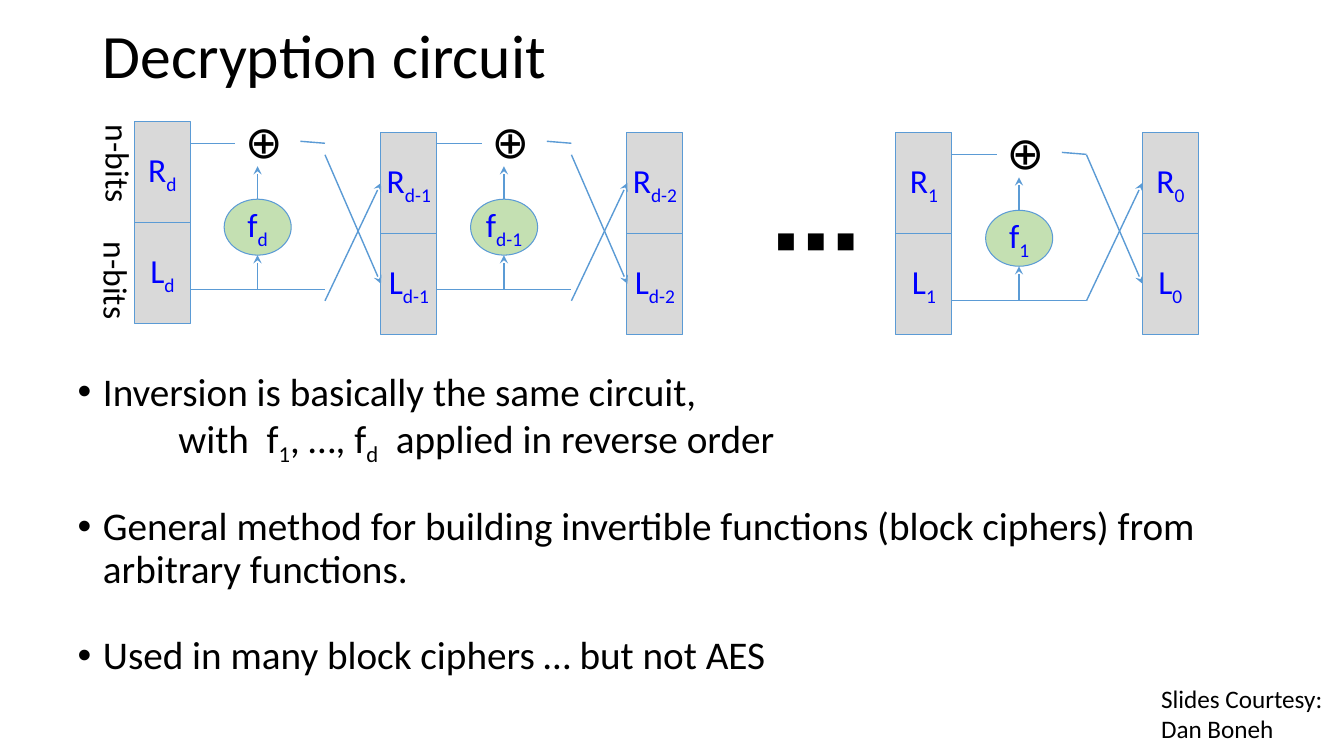
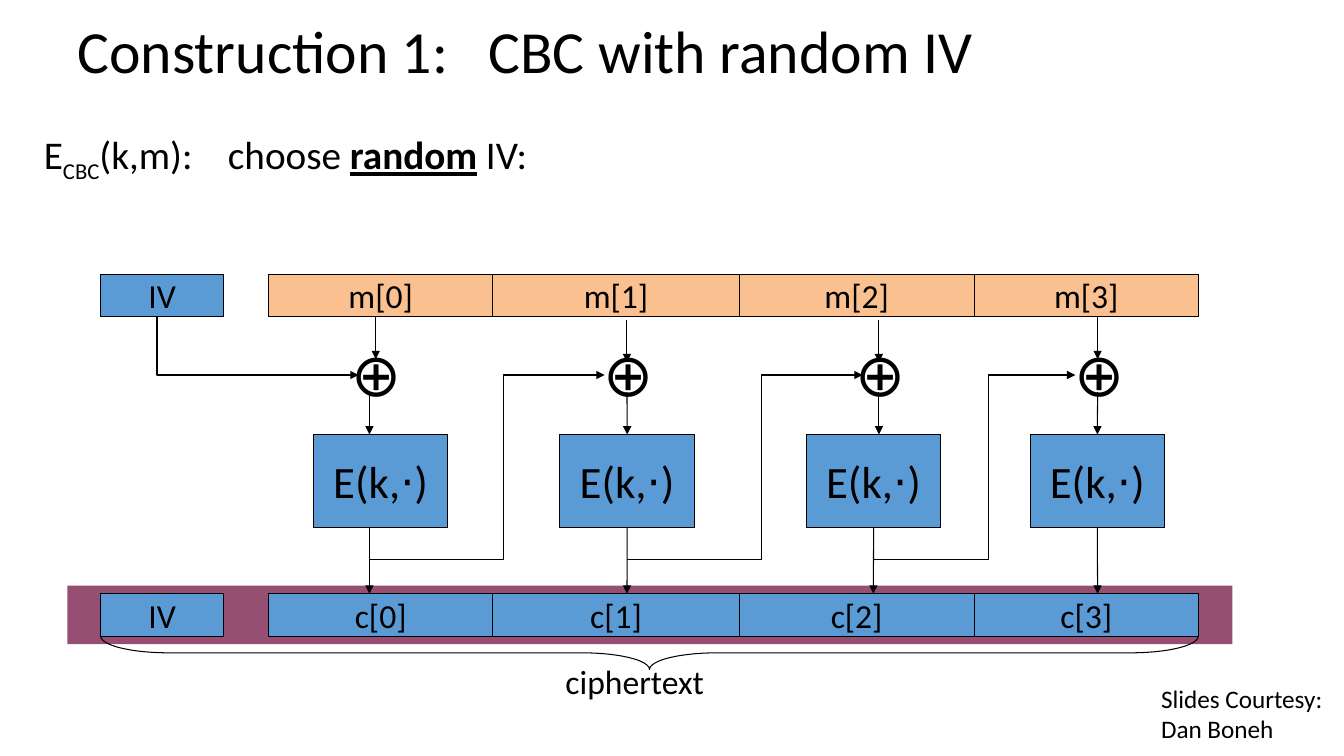
from dataclasses import dataclass
from typing import Optional

from lxml import etree
from pptx import Presentation
from pptx.dml.color import RGBColor
from pptx.enum import shapes as kinds, text as txt
from pptx.oxml import ns
from pptx.util import Cm, Pt

BLACK = RGBColor(0x00, 0x00, 0x00)
BLUE = RGBColor(0x00, 0x00, 0xFF)
SKY = RGBColor(0x5B, 0x9B, 0xD5)
GREY = RGBColor(0xD9, 0xD9, 0xD9)
GREEN = RGBColor(0xC4, 0xE0, 0xB2)
PEACH = RGBColor(0xFA, 0xC0, 0x90)
PLUM = RGBColor(0x95, 0x4F, 0x72)
FONT = "Calibri"
RECT = kinds.MSO_SHAPE.RECTANGLE
OVAL = kinds.MSO_SHAPE.OVAL

REG_W, REG_H = 1.41, 2.54
CROSS = 3.9
BOX_W, BOX_Y, BOX_H = 3.39, 10.95, 2.34
CELL_H, MSG_Y, OUT_Y = 1.07, 6.91, 14.96
FEED_Y, BUS_Y = 9.45, 14.11


@dataclass(frozen=True)
class Area:
    x: float
    y: float
    w: float
    h: float

    def cm(self) -> list:
        return [Cm(v) for v in (self.x, self.y, self.w, self.h)]


@dataclass(frozen=True)
class Reg:
    x: float
    y: float
    sub: str


@dataclass(frozen=True)
class Stage:
    x: float
    y: float
    sub: str


@dataclass(frozen=True)
class Block:
    left: float
    width: float
    sum_x: float
    box_x: float
    drop_x: float
    lag: float
    mid_x: float
    out_x: float
    turn: Optional[float] = None
    end: Optional[float] = None


REGS = [
    Reg(3.39, 3.07, "d"),
    Reg(9.6, 3.35, "d-1"),
    Reg(15.8, 3.35, "d-2"),
    Reg(22.58, 3.35, "1"),
    Reg(28.79, 3.35, "0"),
]
STAGES = [
    Stage(4.8, 3.61, "d"),
    Stage(11.01, 3.61, "d-1"),
    Stage(23.99, 3.89, "1"),
]
BLOCKS = [
    Block(6.77, 5.65, 8.61, 7.9, 9.47, 0, 9.31, 9.31, 12.7, 15.24),
    Block(12.42, 6.21, 14.96, 14.11, 15.8, 0.08, 15.8, 15.8, 19.2, 21.74),
    Block(18.63, 5.92, 21.31, 20.32, 22.15, 0.08, 22.15, 22.01, 24.92, 27.1),
    Block(24.55, 5.65, 26.82, 25.96, 27.66, 0, 27.66, 27.66),
]


def add(para, words: str, size: float, color: RGBColor = BLACK):
    run = para.add_run()
    run.text = words
    run.font.name = FONT
    run.font.size = Pt(size)
    run.font.color.rgb = color
    return run


def put(para, words: str, size: float, color: RGBColor = BLACK) -> None:
    for i, part in enumerate(words.split("~")):
        run = add(para, part, size, color)
        if i % 2:
            run.font._element.set("baseline", "-25000")


def tip(shape, kind: str) -> None:
    etree.SubElement(shape.get_or_add_ln(), ns.qn("a:tailEnd"), type=kind)


def shape(slide, kind, area: Area, fill: Optional[RGBColor],
          line: Optional[RGBColor] = None, words: str = "",
          size: float = 24, color: RGBColor = BLACK, side: float = 0.25):
    item = slide.shapes.add_shape(kind, *area.cm())
    item.shadow.inherit = False
    if fill is None:
        item.fill.background()
    else:
        item.fill.solid()
        item.fill.fore_color.rgb = fill
    if line is None:
        item.line.fill.background()
    else:
        item.line.color.rgb = line
        item.line.width = Pt(0.75)
    if words:
        frame = item.text_frame
        frame.word_wrap = True
        frame.vertical_anchor = txt.MSO_ANCHOR.MIDDLE
        frame.margin_left = frame.margin_right = Cm(side)
        para = frame.paragraphs[0]
        para.alignment = txt.PP_ALIGN.CENTER
        put(para, words, size, color)
    return item


def note(slide, area: Area, words: str, size: float,
         bold: bool = False, turn: float = 0) -> None:
    box = slide.shapes.add_textbox(*area.cm())
    box.rotation = turn
    frame = box.text_frame
    frame.word_wrap = False
    frame.text = words
    for para in frame.paragraphs:
        for run in para.runs:
            run.font.name = FONT
            run.font.size = Pt(size)
            run.font.bold = bold
            run.font.color.rgb = BLACK


def wire(slide, x1: float, y1: float, x2: float, y2: float,
         color: RGBColor, width: float, head: str = ""):
    line = slide.shapes.add_connector(
        kinds.MSO_CONNECTOR.STRAIGHT, Cm(x1), Cm(y1), Cm(x2), Cm(y2))
    line.line.color.rgb = color
    line.line.width = Pt(width)
    if head:
        tip(line, head)
    etree.SubElement(line._element.spPr, ns.qn("a:effectLst"))
    return line


def bend(slide, dots: list, width: float) -> None:
    first, *rest = [(Cm(x), Cm(y)) for x, y in dots]
    form = slide.shapes.build_freeform(*first)
    form.add_line_segments(rest, close=False)
    item = form.convert_to_shape()
    item.shadow.inherit = False
    item.fill.background()
    item.line.color.rgb = BLACK
    item.line.width = Pt(width)
    tip(item, "triangle")


def place(item, area: Area):
    item.left, item.top, item.width, item.height = area.cm()
    frame = item.text_frame
    frame.word_wrap = True
    frame.auto_size = txt.MSO_AUTO_SIZE.NONE
    return frame


def start(deck, title: str, size: float, head: Area, body: Area):
    slide = deck.slides.add_slide(deck.slide_layouts[1])
    frame = place(slide.shapes.title, head)
    frame.vertical_anchor = txt.MSO_ANCHOR.MIDDLE
    para = frame.paragraphs[0]
    para.alignment = txt.PP_ALIGN.LEFT
    para.line_spacing = 0.9
    put(para, title, size)
    note(slide, Area(29.01, 17.09, 4.6, 1.8), "Slides Courtesy:\nDan Boneh", 18)
    return slide, place(slide.placeholders[1], body)


def item(para, left: float, gap: float = 0, dot: bool = True) -> None:
    props = para._p.get_or_add_pPr()
    props.set("marL", str(Cm(left)))
    props.set("indent", str(Cm(-0.64 if dot else 0)))
    if not dot:
        etree.SubElement(props, ns.qn("a:buNone"))
    para.line_spacing = 0.9
    para.space_before = Pt(gap)


def stage(slide, part: Stage) -> None:
    x, y = part.x, part.y
    edge, low, mid = x + 3.39, y + 3.68, x + 1.69
    note(slide, Area(x + 1.13, y - 0.87, 1.65, 1.63), "⊕", 32)
    for x1, y1, x2, y2, head in [
        (x, low, edge, low, ""),
        (x, y, x + 1.13, y, ""),
        (x + 2.77, y - 0.05, edge, y, ""),
        (edge, CROSS, x + 4.8, CROSS + 3.25, "stealth"),
        (edge, CROSS + 3.68, x + 4.8, CROSS + 0.71, "stealth"),
        (mid, low, mid, y + 2.82, "stealth"),
        (mid, y + 1.41, mid, y + 0.58, "stealth"),
    ]:
        wire(slide, x1, y1, x2, y2, SKY, 1, head)
    shape(slide, OVAL, Area(x + 0.85, y + 1.41, 1.69, 1.41), GREEN, SKY,
          f"f~{part.sub}~", color=BLUE, side=0)


def circuit(deck) -> None:
    slide, body = start(deck, "Decryption circuit", 44,
                        Area(2.34, 0, 29.21, 2.97), Area(1.7, 9.25, 31.6, 8.3))
    rows = [
        ("Inversion is basically the same circuit,", 0.64, 0, True),
        ("with  f~1~, …, f~d~  applied in reverse order", 2.54, 0, False),
        ("General method for building invertible functions (block ciphers) "
         "from arbitrary functions.", 0.64, 31.7, True),
        ("Used in many block ciphers … but not AES", 0.64, 31.7, True),
    ]
    for i, (words, left, gap, dot) in enumerate(rows):
        para = body.add_paragraph() if i else body.paragraphs[0]
        item(para, left, gap, dot)
        put(para, words, 28)
    for reg in REGS:
        for i, name in enumerate("RL"):
            shape(slide, RECT, Area(reg.x, reg.y + i * REG_H, REG_W, REG_H),
                  GREY, SKY, f"{name}~{reg.sub}~", color=BLUE, side=0)
    for x, y in [(1.75, 3.51), (1.7, 6.45)]:
        note(slide, Area(x, y, 2.49, 1.27), "n-bits", 24, turn=90)
    for part in STAGES:
        stage(slide, part)
    note(slide, Area(19.2, 4.5, 2.44, 3), "⋯", 64, bold=True)


def drop(slide, x: float, y1: float, y2: float):
    return wire(slide, x, y1, x, y2, BLACK, 0.75, "triangle")


def chain(slide, i: int, part: Block) -> None:
    for name, y, fill in [("m", MSG_Y, PEACH), ("c", OUT_Y, SKY)]:
        shape(slide, RECT, Area(part.left, y, part.width, CELL_H),
              fill, BLACK, f"{name}[{i}]")
    box = shape(slide, RECT, Area(part.box_x, BOX_Y, BOX_W, BOX_H),
                SKY, BLACK, "E(k,⋅)", 32)
    note(slide, Area(part.sum_x, 8.36, 1.68, 2.08), "⊕", 42.7)
    top = MSG_Y + CELL_H + part.lag
    drop(slide, part.drop_x, top, top + 1.07)
    into = drop(slide, part.mid_x, 9.88, BOX_Y)
    out = drop(slide, part.out_x, BOX_Y + BOX_H, OUT_Y)
    mid = part.box_x + BOX_W / 2
    if abs(part.mid_x - mid) < 0.02:
        into.end_connect(box, 0)
    if abs(part.out_x - mid) < 0.02:
        out.begin_connect(box, 2)
    if part.turn is not None:
        bend(slide, [(part.out_x, BUS_Y), (part.turn, BUS_Y),
                     (part.turn, FEED_Y), (part.end, FEED_Y)], 0.75)


def cbc(deck) -> None:
    slide, body = start(deck, "Construction 1:   CBC with random IV", 42.7,
                        Area(1.7, 0.2, 30.48, 2.34), Area(0.85, 3.18, 32, 2))
    para = body.paragraphs[0]
    item(para, 0, dot=False)
    put(para, "E~CBC~(k,m):    choose ", 28)
    key = add(para, "random", 28)
    key.font.bold = key.font.underline = True
    add(para, " IV:", 28)
    shape(slide, RECT, Area(1.7, 14.76, 29.36, 1.47), PLUM)
    for y in (MSG_Y, OUT_Y):
        shape(slide, RECT, Area(2.54, y, 3.1, CELL_H), SKY, BLACK, "IV")
    for i, part in enumerate(BLOCKS):
        chain(slide, i, part)
    bend(slide, [(3.96, MSG_Y + CELL_H), (3.96, FEED_Y), (9.04, FEED_Y)], 1)
    brace = shape(slide, kinds.MSO_SHAPE.LEFT_BRACE,
                  Area(15.95, 2.62, 0.84, 27.66), None, BLACK)
    brace.rotation = 270
    brace.adjustments[0] = 2.04
    note(slide, Area(14, 16.54, 4.04, 1.27), "ciphertext", 24)


def main() -> None:
    deck = Presentation()
    deck.slide_width, deck.slide_height = Cm(33.87), Cm(19.05)
    circuit(deck)
    cbc(deck)
    deck.save("out.pptx")


if __name__ == "__main__":
    main()
